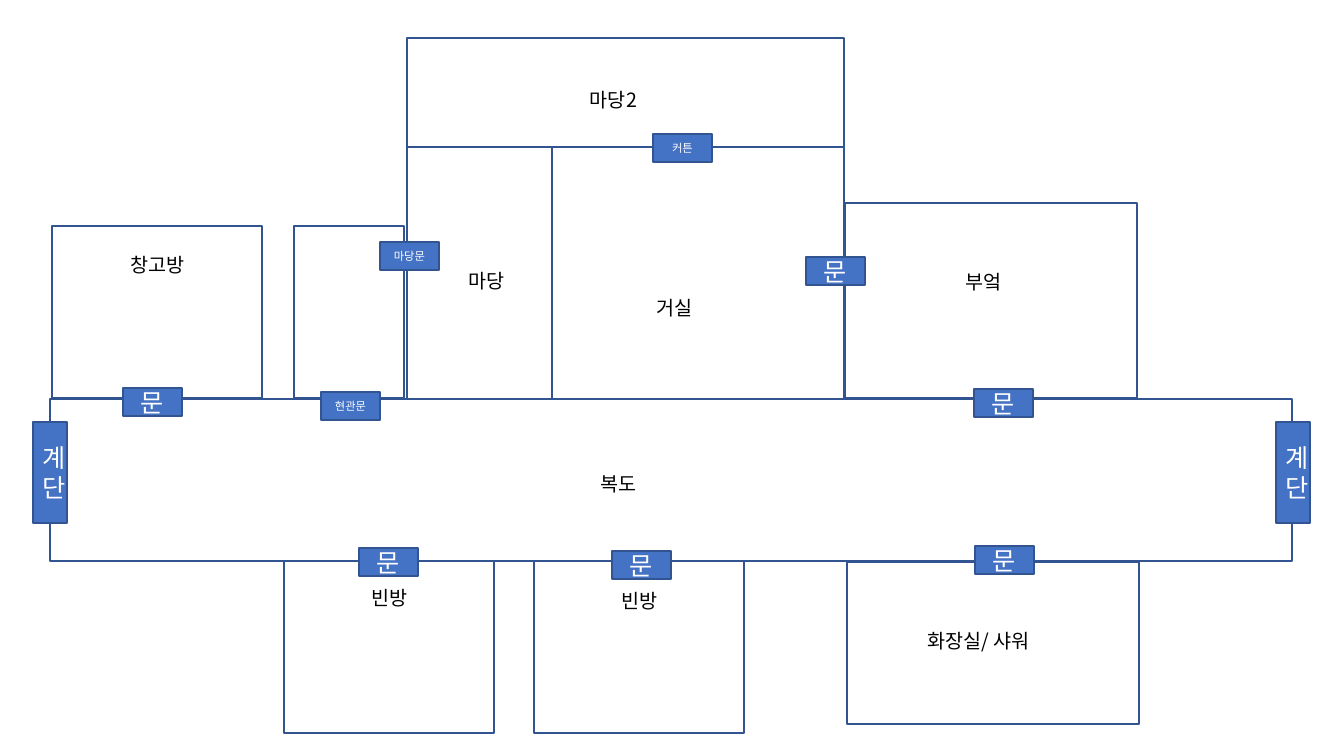
from pptx import Presentation
from pptx import util as u
from pptx.dml.color import RGBColor
from pptx.enum import shapes, text
from pptx.oxml import ns
from lxml import etree

PX = 914400 / 100.8
FONT = "Noto Sans CJK KR"
WHITE, BLUE, EDGE, BLACK = "FFFFFF", "4472C4", "325491", "000000"
DOOR = (59, 28)
STAIR = (34, 101)
LABEL = (427, 78)

# left, top, width, height
rooms = [
    (407, 147, 145, 252),
    (294, 226, 110, 172),
    (52, 226, 210, 172),
    (50, 399, 1242, 162),
    (552, 147, 292, 252),
    (407, 38, 437, 109),
    (845, 203, 292, 195),
    (847, 562, 292, 162),
    (284, 561, 210, 172),
    (534, 561, 210, 172),
]
# words, size in points, left, top
doors = [
    ("문", 18, 123, 388),
    ("현관문", 8, 321, 392),
    ("마당문", 8, 380, 242),
    ("커튼", 8, 653, 134),
    ("문", 18, 806, 257),
    ("문", 18, 974, 389),
    ("문", 18, 359, 548),
    ("문", 18, 612, 551),
    ("문", 18, 975, 546),
]
labels = [
    ("창고방", -56, 251),
    ("거실", 461, 294),
    ("마당", 273, 267),
    ("마당2", 400, 86),
    ("복도", 405, 470),
    ("화장실/ 샤워", 765, 627),
    ("부엌", 770, 268),
    ("빈방", 176, 584),
    ("빈방", 426, 587),
]


def block(fill, *rect):
    """Add an outlined rectangle given in px."""
    box = page.shapes.add_shape(shapes.MSO_SHAPE.RECTANGLE,
                                *[u.Emu(round(n * PX)) for n in rect])
    box.shadow.inherit = False
    box.fill.solid()
    box.fill.fore_color.rgb = RGBColor.from_string(fill)
    box.line.color.rgb = RGBColor.from_string(EDGE)
    box.line.width = u.Pt(1)
    return box


def write(box, words, size, color, **form):
    """Fill a shape with centred paragraphs, one per line of words."""
    frame = box.text_frame
    frame.word_wrap = True
    frame.text = words
    for para in frame.paragraphs:
        para.alignment = text.PP_ALIGN.CENTER
        for key, value in form.items():
            setattr(para, key, value)
        for run in para.runs:
            run.font.size = u.Pt(size)
            run.font.color.rgb = RGBColor.from_string(color)
            run.font.name = FONT
            east = etree.SubElement(run.font._element, ns.qn("a:ea"))
            east.set("typeface", FONT)


deck = Presentation()
deck.slide_width = u.Emu(round(1344 * PX))
deck.slide_height = u.Emu(round(756 * PX))
page = deck.slides.add_slide(deck.slide_layouts[6])

for room in rooms:
    block(WHITE, *room)

for words, size, left, top in doors:
    write(block(BLUE, left, top, *DOOR), words, size, WHITE)

for left in (33, 1276):
    write(block(BLUE, left, 422, *STAIR), "계\n단", 18, WHITE)

for words, left, top in labels:
    rect = [u.Emu(round(n * PX)) for n in (left, top, *LABEL)]
    write(page.shapes.add_textbox(*rect), words, 14, BLACK, line_spacing=0.9)

deck.save("out.pptx")
